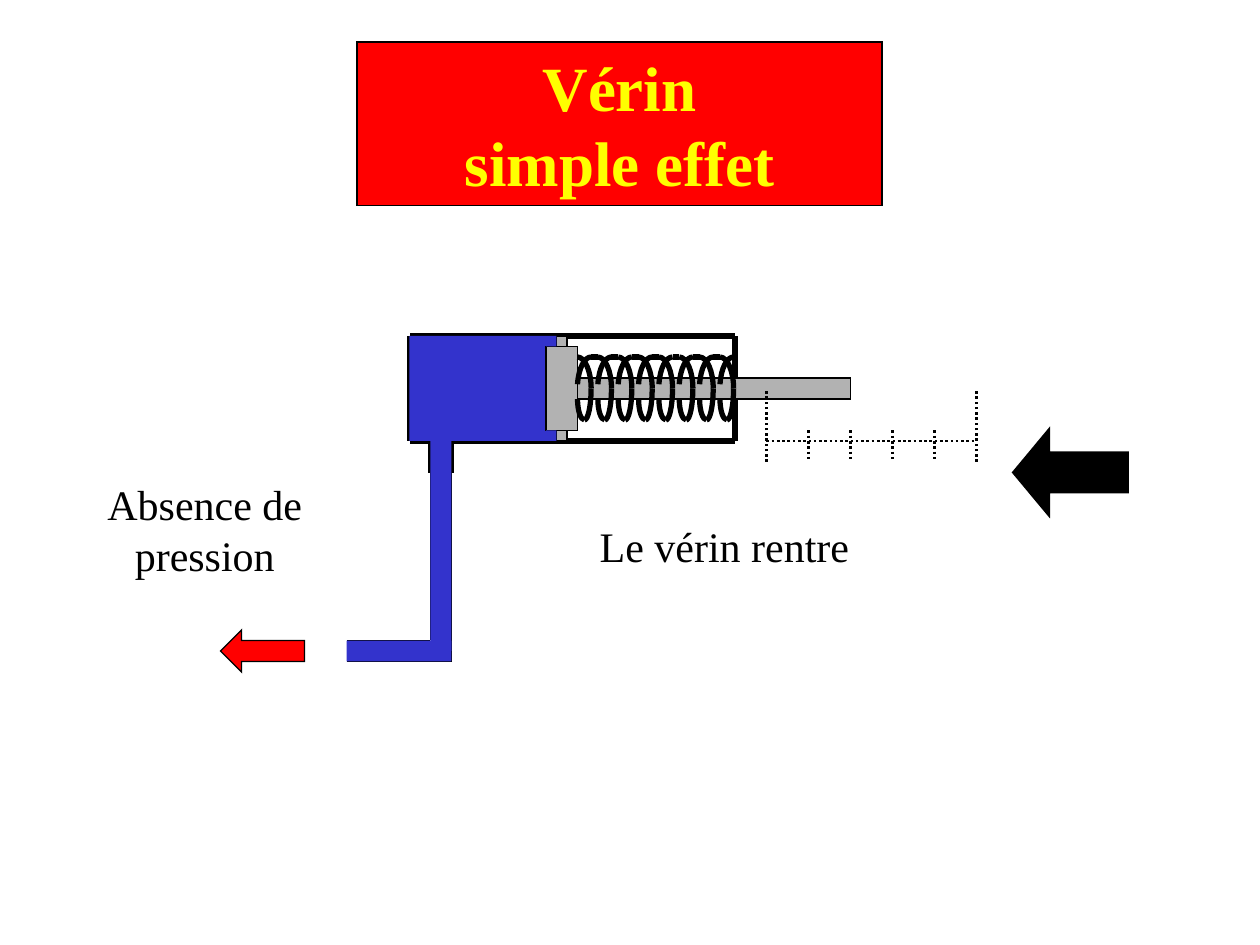
from dataclasses import dataclass

from lxml.etree import SubElement
from pptx import Presentation
from pptx.dml.color import RGBColor as RGB
from pptx.enum.dml import MSO_LINE
from pptx.enum.shapes import MSO_CONNECTOR, MSO_SHAPE as SHAPE
from pptx.enum.text import MSO_ANCHOR, MSO_AUTO_SIZE, PP_ALIGN
from pptx.oxml.ns import qn
from pptx.util import Pt


@dataclass(frozen=True)
class Theme:
    black: RGB = RGB(0, 0, 0)
    red: RGB = RGB(255, 0, 0)
    yellow: RGB = RGB(255, 255, 0)
    fluid: RGB = RGB(0x33, 0x33, 0xCC)
    metal: RGB = RGB(0xB2, 0xB2, 0xB2)
    font: str = "Times New Roman"
    title_size: int = 36
    label_size: int = 24
    thin: float = 0.75
    dotted: float = 1.5
    thick: float = 3
    heavy: float = 6


theme = Theme()


def add_line(shapes, start, end, width, dash=None):
    line = shapes.add_connector(MSO_CONNECTOR.STRAIGHT, *map(Pt, start + end))
    line.line.color.rgb = theme.black
    line.line.width = Pt(width)
    if dash:
        line.line.dash_style = dash
    SubElement(line._element.spPr, qn("a:effectLst"))


def add_part(shapes, preset, box, fill, outline=None):
    """Add a filled preset shape, with a sharp-cornered black outline if a width is given."""
    part = shapes.add_shape(preset, *map(Pt, box))
    part.shadow.inherit = False
    part.fill.solid()
    part.fill.fore_color.rgb = fill
    if outline:
        part.line.color.rgb = theme.black
        part.line.width = Pt(outline)
        SubElement(part._element.spPr.find(qn("a:ln")), qn("a:miter"), lim="800000")
    else:
        part.line.fill.background()
    return part


deck = Presentation()
deck.slide_width, deck.slide_height = Pt(720), Pt(540)
shapes = deck.slides.add_slide(deck.slide_layouts[6]).shapes

title = add_part(shapes, SHAPE.RECTANGLE, (204, 24, 300, 93.6), theme.red, theme.thin)

# Cylinder walls and supply port
left, right, top, bottom = 234, 420, 192, 252
port_left, port_right, port_end = 246, 258, 270
for start, end in [
    ((port_right, bottom), (right, bottom)),
    ((port_right, bottom), (port_right, port_end)),
    ((port_left, bottom), (port_left, port_end)),
    ((right, top), (left, top)),
    ((left, top), (left, bottom)),
    ((left, bottom), (port_left, bottom)),
]:
    add_line(shapes, start, end, theme.thick)

# Supply pipe
pipe_start, pipe_top, pipe_bottom = 198, 366, 378
for start, end in [
    ((port_left, port_end), (port_left, pipe_top)),
    ((port_right, port_end), (port_right, pipe_bottom)),
    ((port_left, pipe_top), (pipe_start, pipe_top)),
    ((port_right, pipe_bottom), (pipe_start, pipe_bottom)),
]:
    add_line(shapes, start, end, theme.thin)

# Fluid in the pipe and the chamber
for box in [
    (pipe_start, pipe_top, port_right - pipe_start, 12),
    (port_left, bottom, 12, 120),
    (left, top, 78, bottom - top),
]:
    add_part(shapes, SHAPE.RECTANGLE, box, theme.fluid)
add_line(shapes, (right, bottom), (right, top), theme.thick)

# Piston: head, seals, rod and the fluid around the seals
piston = shapes.add_group_shape().shapes
for box in [(312, 198, 18, 48), (318, 192, 6, 6), (318, 246, 6, 6), (330, 216, 156, 12)]:
    add_part(piston, SHAPE.RECTANGLE, box, theme.metal, theme.thin)
for y in (246, 192):
    add_part(piston, SHAPE.RECTANGLE, (312, y, 6, 6), theme.fluid)

# Return spring: eight equal coils, each of four Bezier arcs
spring = shapes.add_group_shape().shapes
spring_left, coil_count, pitch, coil_width, crest = 330, 8, 11.63, 7.8, 204
coil_arcs = [
    [(0, 204), (4.3, 204), (7.8, 212.4), (7.8, 222)],
    [(4, 240), (6, 240), (7.8, 232), (7.8, 222)],
    [(4, 240), (1.8, 240), (0, 234.6), (0, 228)],
    [(7.8, 204), (4, 204), (0.6, 210.4), (0, 219.6)],
]
for coil in range(coil_count):
    coil_left = spring_left + coil * pitch
    for arc in coil_arcs:
        start, *controls = [(Pt(coil_left + x), Pt(y)) for x, y in arc]
        builder = spring.build_freeform(*start)
        builder.add_line_segments(controls, close=False)
        wire = builder.convert_to_shape()
        wire.shadow.inherit = False
        wire.fill.background()
        wire.line.color.rgb = theme.black
        wire.line.width = Pt(theme.thick)
        trace = wire._element.find(".//" + qn("a:path"))
        segments = trace.findall(qn("a:lnTo"))
        curve = SubElement(trace, qn("a:cubicBezTo"))
        for segment in segments:
            curve.append(segment[0])
            trace.remove(segment)
    if coil < coil_count - 1:
        add_line(spring, (coil_left + coil_width, crest), (coil_left + pitch, crest), theme.thick)

add_part(shapes, SHAPE.LEFT_ARROW, (126, 360, 48, 24), theme.red, theme.thin)

# Stroke scale: long end marks drawn upwards, short ticks drawn downwards
scale_left, scale_right, tick_gap = 438, 558, 24
add_line(shapes, (scale_left, bottom), (scale_right, bottom), theme.dotted, MSO_LINE.ROUND_DOT)
for x in range(scale_left, scale_right + 1, tick_gap):
    tick_start, tick_end = (264, 222) if x in (scale_left, scale_right) else (246, 264)
    add_line(shapes, (x, tick_start), (x, tick_end), theme.dotted, MSO_LINE.ROUND_DOT)

motion = add_part(shapes, SHAPE.LEFT_ARROW, (582, 252, 60, 36), theme.black, theme.heavy)
motion.adjustments[1] = 0.417

# Texts
pressure = shapes.add_textbox(Pt(54), Pt(270), Pt(126), Pt(64.8))
movement = shapes.add_textbox(Pt(288), Pt(294), Pt(252), Pt(36))
frame_format = {
    "word_wrap": True,
    "auto_size": MSO_AUTO_SIZE.SHAPE_TO_FIT_TEXT,
    "vertical_anchor": MSO_ANCHOR.TOP,
}
for holder, text, size, color, bold, space in [
    (title, "Vérin\vsimple effet", theme.title_size, theme.yellow, True, 22.5),
    (pressure, "Absence de pression", theme.label_size, theme.black, False, 15),
    (movement, "Le vérin rentre", theme.label_size, theme.black, False, 15),
]:
    frame = holder.text_frame
    paragraph = frame.paragraphs[0]
    paragraph.text = text
    paragraph_format = {"alignment": PP_ALIGN.CENTER, "space_before": Pt(space)}
    font_format = {"name": theme.font, "size": Pt(size), "bold": bold}
    targets = [(frame, frame_format), (paragraph, paragraph_format)]
    targets += [(run.font, font_format) for run in paragraph.runs]
    for target, values in targets:
        for attribute, value in values.items():
            setattr(target, attribute, value)
    for run in paragraph.runs:
        run.font.color.rgb = color

deck.save("out.pptx")
